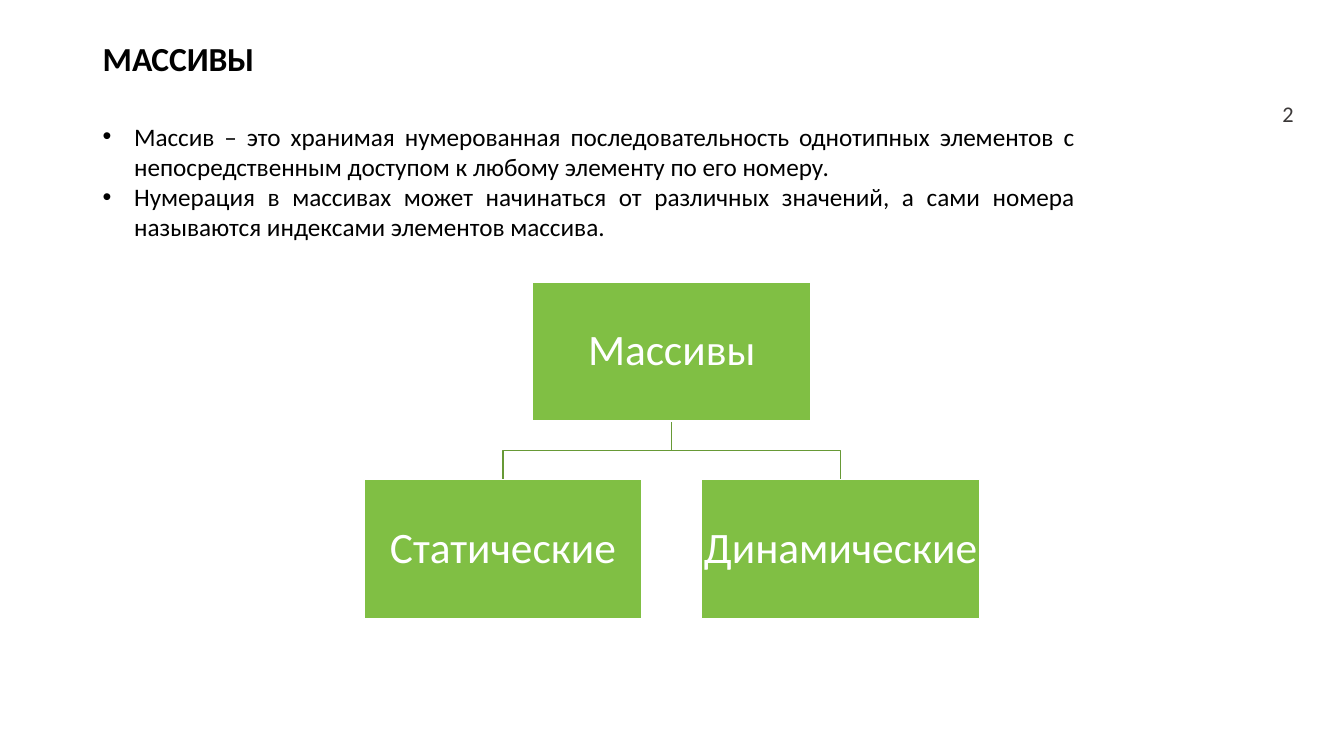
import pptx
import pptx.util
import pptx.dml.color
import pptx.enum.shapes
import pptx.enum.text
import pptx.oxml.ns
import lxml.etree

Cm, Pt = pptx.util.Cm, pptx.util.Pt
ALIGN, ANCHOR = pptx.enum.text.PP_ALIGN, pptx.enum.text.MSO_ANCHOR

# Content
TITLE = "МАССИВЫ"
NUMBER = "2"
POINTS = [
    "Массив – это хранимая нумерованная последовательность однотипных элементов "
    "с непосредственным доступом к любому элементу по его номеру.",
    "Нумерация в массивах может начинаться от различных значений, а сами номера "
    "называются индексами элементов массива.",
]
ROOT = "Массивы"
KINDS = ["Статические", "Динамические"]

COLORS = {"text": "000000", "number": "3B3838", "box": "80BF44",
          "branch": "679936", "white": "FFFFFF"}

# Tree measures, in cm
CENTER_X, ROOT_Y, KIND_Y = 16.93, 7.11, 12.09
BOX_W, BOX_H, STEP_X = 7.01, 3.5, 8.51


def rgb(name):
    return pptx.dml.color.RGBColor.from_string(COLORS[name])


def write(sp, lines, size, color, align, anchor, bold=False, wrap=True,
          inset=None, spacing=None):
    tf = sp.text_frame
    frame = {"word_wrap": wrap, "vertical_anchor": anchor}
    if inset is not None:
        frame.update({f"margin_{side}": Cm(inset)
                      for side in ("left", "right", "top", "bottom")})
    for key, value in frame.items():
        setattr(tf, key, value)
    for i, line in enumerate(lines):
        p = tf.paragraphs[0] if i == 0 else tf.add_paragraph()
        p.alignment = align
        p.line_spacing = spacing
        r = p.add_run()
        r.text = line
        for key, value in {"name": "Calibri", "size": Pt(size), "bold": bold}.items():
            setattr(r.font, key, value)
        r.font.color.rgb = rgb(color)
    return tf


def add_bullet(p, indent):
    pPr = p._p.get_or_add_pPr()
    pPr.set("marL", str(indent))
    pPr.set("indent", str(-indent))
    for tag, key, value in (("a:buFont", "typeface", "Arial"), ("a:buChar", "char", "•")):
        lxml.etree.SubElement(pPr, pptx.oxml.ns.qn(tag)).set(key, value)


def text_box(s, x, y, w, h):
    return s.shapes.add_textbox(Cm(x), Cm(y), Cm(w), Cm(h))


def add_branch(s, x):
    top = ROOT_Y + BOX_H
    middle = (top + KIND_Y) / 2
    builder = s.shapes.build_freeform(Cm(CENTER_X), Cm(top))
    builder.add_line_segments([(Cm(CENTER_X), Cm(middle)), (Cm(x), Cm(middle)),
                               (Cm(x), Cm(KIND_Y))], close=False)
    sp = builder.convert_to_shape()
    sp.shadow.inherit = False
    sp.fill.background()
    sp.line.color.rgb = rgb("branch")
    sp.line.width = Pt(1)


def add_box(s, text, x, y):
    sp = s.shapes.add_shape(pptx.enum.shapes.MSO_SHAPE.RECTANGLE,
                            Cm(x - BOX_W / 2), Cm(y), Cm(BOX_W), Cm(BOX_H))
    sp.shadow.inherit = False
    sp.fill.solid()
    sp.fill.fore_color.rgb = rgb("box")
    sp.line.color.rgb = rgb("white")
    sp.line.width = Pt(1)
    write(sp, [text], 31, "white", ALIGN.CENTER, ANCHOR.MIDDLE,
          wrap=False, inset=0.05, spacing=0.9)


def main():
    prs = pptx.Presentation()
    prs.slide_width, prs.slide_height = Cm(33.87), Cm(19.05)
    s = prs.slides.add_slide(prs.slide_layouts[6])

    # Slide number and title
    write(text_box(s, 31.55, 2.34, 1.3, 1.02), [NUMBER], 16, "number",
          ALIGN.RIGHT, ANCHOR.MIDDLE)
    write(text_box(s, 2.34, 0.43, 27.38, 2.21), [TITLE], 24, "text",
          ALIGN.LEFT, ANCHOR.MIDDLE, bold=True, spacing=0.9)

    # Definition points
    tf = write(text_box(s, 2.34, 2.92, 25, 3.33), POINTS, 18, "text",
               ALIGN.JUSTIFY, ANCHOR.TOP)
    for p in tf.paragraphs:
        add_bullet(p, Cm(0.79))

    # Tree: branches behind, boxes in front
    columns = [CENTER_X + (i - (len(KINDS) - 1) / 2) * STEP_X for i in range(len(KINDS))]
    for x in columns:
        add_branch(s, x)
    add_box(s, ROOT, CENTER_X, ROOT_Y)
    for kind, x in zip(KINDS, columns):
        add_box(s, kind, x, KIND_Y)

    prs.save("out.pptx")


if __name__ == "__main__":
    main()
